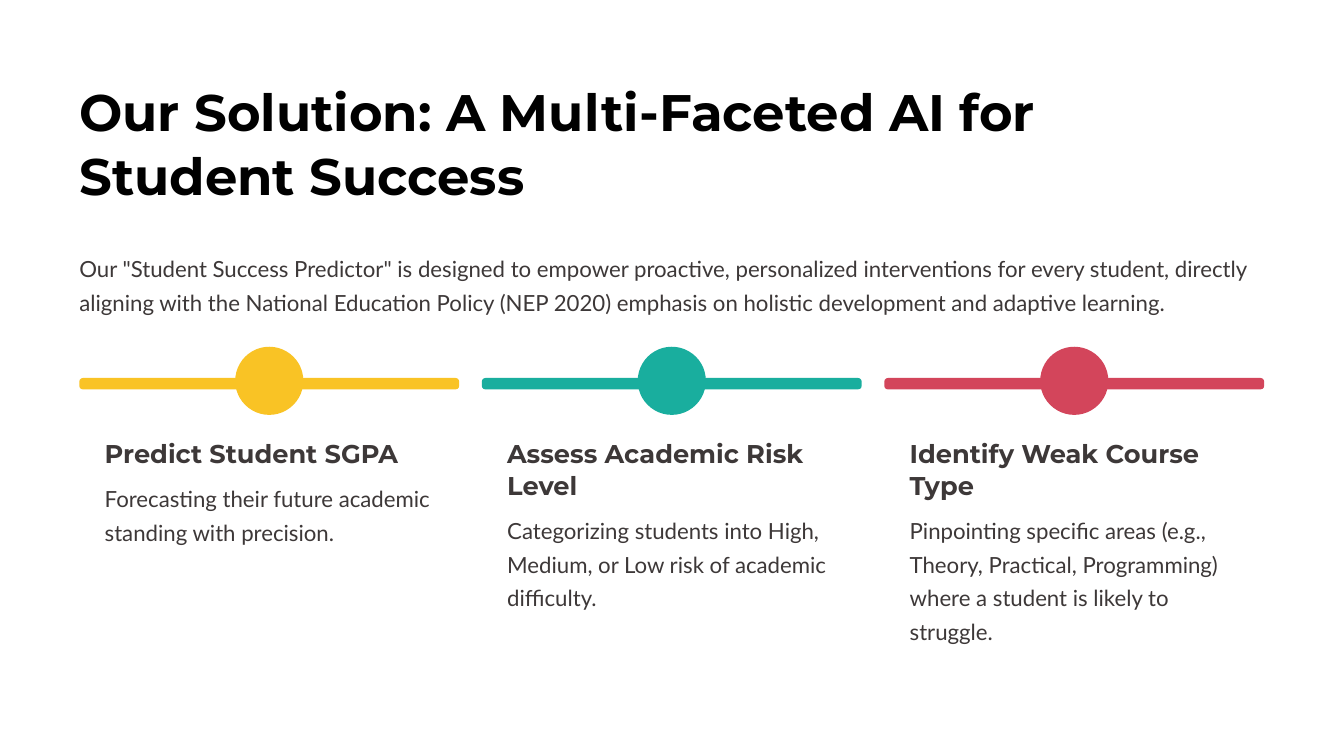
"""Build the three-part solution overview slide."""
from dataclasses import dataclass

from pptx import Presentation
from pptx import util as u
from pptx.dml.color import RGBColor
from pptx.enum import shapes, text


@dataclass(frozen=True)
class TextStyle:
    """Font, size, line pitch and colour of one kind of text."""
    font: str
    size: float
    leading: float
    color: str
    bold: bool = False


@dataclass(frozen=True)
class Theme:
    """Colours and type styles of the slide."""
    background: str = "FFFFFF"
    yellow: str = "F9C325"
    teal: str = "19AE9E"
    red: str = "D3455B"
    title: TextStyle = TextStyle("Montserrat", 55, 68.8, "000000", True)
    heading: TextStyle = TextStyle("Montserrat", 27.5, 34.4, "3D3838", True)
    body: TextStyle = TextStyle("Lato", 23.8, 36.2, "3D3838")


THEME = Theme()
MARGIN = 85
CONTENT_WIDTH = 1270
COLUMN_WIDTH = 407
COLUMN_PITCH = 431.25
BAR_TOP, BAR_HEIGHT = 405, 12.2
CIRCLE_TOP, CIRCLE_SIZE = 371.5, 73
COLUMN_INSET = 27.2
HEADING_TOP, HEADING_GAP = 467.3, 10.4

COLUMNS = [
    (THEME.yellow, "Predict Student SGPA", 1,
     "Forecasting their future academic standing with precision.", 2),
    (THEME.teal, "Assess Academic Risk Level", 2,
     "Categorizing students into High, Medium, or Low risk of academic difficulty.", 3),
    (THEME.red, "Identify Weak Course Type", 2,
     "Pinpointing specific areas (e.g., Theory, Practical, Programming) "
     "where a student is likely to struggle.", 4),
]


def add_text(page, words, style, left, top, width, lines):
    """Add a wrapped, margin-free text box sized for its number of lines."""
    box = page.shapes.add_textbox(
        u.Pt(left), u.Pt(top), u.Pt(width), u.Pt(lines * style.leading))
    frame = box.text_frame
    frame.word_wrap = True
    frame.auto_size = text.MSO_AUTO_SIZE.SHAPE_TO_FIT_TEXT
    frame.margin_left = frame.margin_right = 0
    frame.margin_top = frame.margin_bottom = 0
    para = frame.paragraphs[0]
    para.text = words
    para.line_spacing = u.Pt(style.leading)
    para.font.name = style.font
    para.font.size = u.Pt(style.size)
    para.font.bold = style.bold
    para.font.color.rgb = RGBColor.from_string(style.color)


def add_solid(page, kind, color, left, top, width, height):
    """Add a flat filled shape without outline."""
    shape = page.shapes.add_shape(
        kind, u.Pt(left), u.Pt(top), u.Pt(width), u.Pt(height))
    shape.shadow.inherit = False
    shape.fill.solid()
    shape.fill.fore_color.rgb = RGBColor.from_string(color)
    shape.line.fill.background()
    return shape


def add_column(page, left, color, heading, heading_lines, body, body_lines):
    """Add a coloured bar with its circle, heading and description."""
    bar = add_solid(page, shapes.MSO_SHAPE.ROUNDED_RECTANGLE, color,
                    left, BAR_TOP, COLUMN_WIDTH, BAR_HEIGHT)
    bar.adjustments[0] = 0.31
    add_solid(page, shapes.MSO_SHAPE.OVAL, color,
              left + (COLUMN_WIDTH - CIRCLE_SIZE) / 2, CIRCLE_TOP,
              CIRCLE_SIZE, CIRCLE_SIZE)
    text_left = left + COLUMN_INSET
    text_width = COLUMN_WIDTH - 2 * COLUMN_INSET
    add_text(page, heading, THEME.heading,
             text_left, HEADING_TOP, text_width, heading_lines)
    body_top = HEADING_TOP + heading_lines * THEME.heading.leading + HEADING_GAP
    add_text(page, body, THEME.body, text_left, body_top, text_width, body_lines)


def main():
    """Build the slide and save the deck."""
    deck = Presentation()
    deck.slide_width, deck.slide_height = u.Pt(1440), u.Pt(810)
    page = deck.slides.add_slide(deck.slide_layouts[6])
    page.background.fill.solid()
    page.background.fill.fore_color.rgb = RGBColor.from_string(THEME.background)
    add_text(page, "Our Solution: A Multi-Faceted AI for Student Success",
             THEME.title, MARGIN, 82.8, CONTENT_WIDTH, 2)
    add_text(page,
             'Our "Student Success Predictor" is designed to empower proactive, '
             "personalized interventions for every student, directly aligning with "
             "the National Education Policy (NEP 2020) emphasis on holistic "
             "development and adaptive learning.",
             THEME.body, MARGIN, 265.7, CONTENT_WIDTH, 2)
    for index, column in enumerate(COLUMNS):
        add_column(page, MARGIN + index * COLUMN_PITCH, *column)
    deck.save("out.pptx")


if __name__ == "__main__":
    main()
